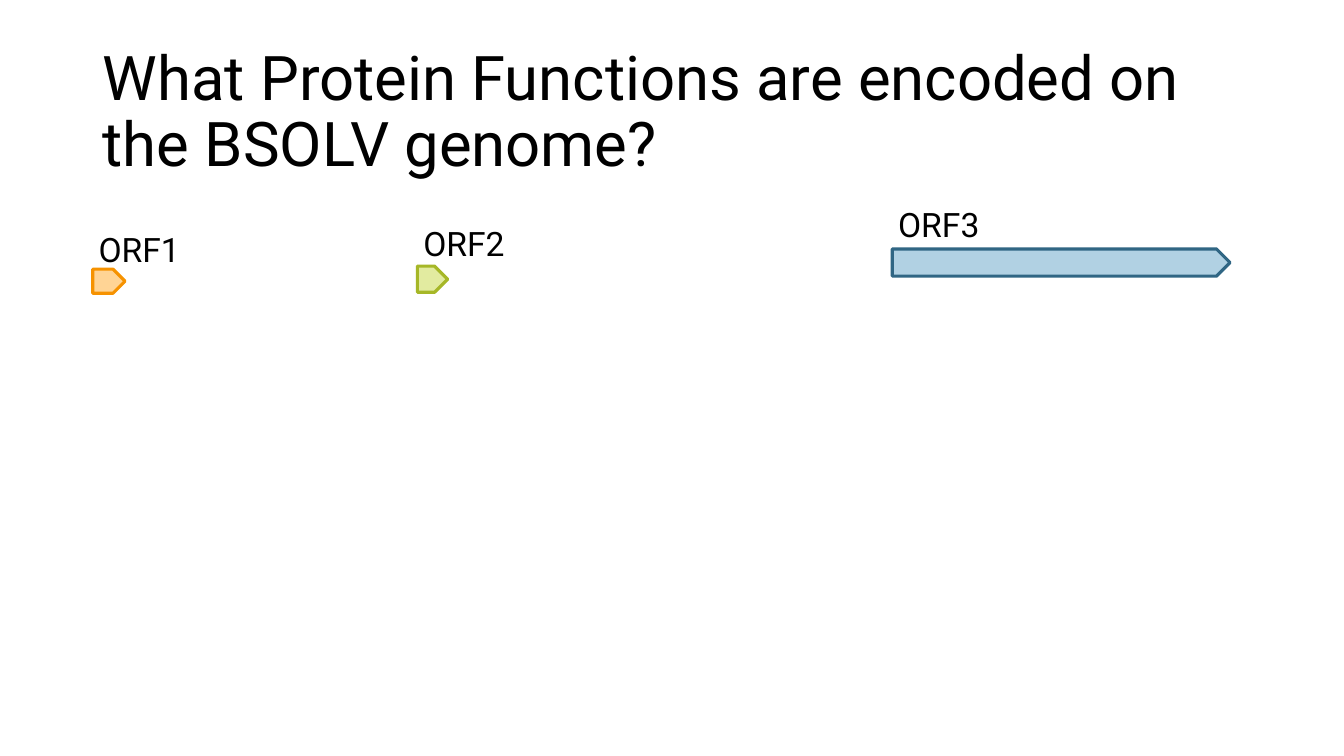
from pptx import Presentation
from pptx.dml.color import RGBColor
from pptx.enum.shapes import MSO_SHAPE
from pptx.enum.text import MSO_ANCHOR, MSO_AUTO_SIZE, PP_ALIGN
from pptx.util import Inches, Pt

BLACK = RGBColor(0x00, 0x00, 0x00)
BLUE, PALE_BLUE = RGBColor(0x30, 0x66, 0x84), RGBColor(0xB1, 0xD1, 0xE3)
GREEN, PALE_GREEN = RGBColor(0xA6, 0xB7, 0x27), RGBColor(0xE2, 0xEB, 0xA0)
ORANGE, PALE_ORANGE = RGBColor(0xF6, 0x92, 0x00), RGBColor(0xFF, 0xD4, 0x95)
FONT = "Roboto"

# name, arrow box (left, top, width, height), gap from label top to arrow, fill, outline
READING_FRAMES = [
    ("ORF3", (8.85, 2.47, 3.35, 0.27), 0.5, PALE_BLUE, BLUE),
    ("ORF2", (4.14, 2.64, 0.3, 0.26), 0.48, PALE_GREEN, GREEN),
    ("ORF1", (0.92, 2.67, 0.32, 0.24), 0.45, PALE_ORANGE, ORANGE),
]


def write_text(frame, text, size, color=BLACK, align=PP_ALIGN.LEFT,
               anchor=MSO_ANCHOR.TOP, line_spacing=None, wrap=True,
               auto_size=MSO_AUTO_SIZE.NONE):
    frame.word_wrap = wrap
    frame.auto_size = auto_size
    frame.vertical_anchor = anchor
    paragraph = frame.paragraphs[0]
    paragraph.alignment = align
    paragraph.line_spacing = line_spacing
    run = paragraph.add_run()
    run.text = text
    run.font.name = FONT
    run.font.size = Pt(size)
    run.font.color.rgb = color


def add_title(slide, left, top, width, height):
    title = slide.shapes.title
    title.left, title.top = Inches(left), Inches(top)
    title.width, title.height = Inches(width), Inches(height)
    write_text(title.text_frame,
               "What Protein Functions are encoded on the BSOLV genome?",
               44, anchor=MSO_ANCHOR.MIDDLE, line_spacing=0.9)


def add_reading_frame(slide, name, box, label_gap, fill, outline):
    """Draw a gene arrow in the box, with its name above the left end."""
    left, top, width, height = box
    arrow = slide.shapes.add_shape(
        MSO_SHAPE.PENTAGON, Inches(left), Inches(top), Inches(width), Inches(height))
    arrow.shadow.inherit = False
    arrow.fill.solid()
    arrow.fill.fore_color.rgb = fill
    arrow.line.color.rgb = outline
    arrow.line.width = Pt(2.25)

    label = slide.shapes.add_textbox(
        Inches(left - 0.04), Inches(top - label_gap), Inches(1.07), Inches(0.5))
    write_text(label.text_frame, name, 24, wrap=False,
               auto_size=MSO_AUTO_SIZE.SHAPE_TO_FIT_TEXT)


def main():
    presentation = Presentation()
    presentation.slide_width = Inches(13.33)
    presentation.slide_height = Inches(7.5)
    slide = presentation.slides.add_slide(presentation.slide_layouts[5])
    add_title(slide, 0.92, 0.4, 11.5, 1.45)
    for reading_frame in READING_FRAMES:
        add_reading_frame(slide, *reading_frame)
    presentation.save("out.pptx")


if __name__ == "__main__":
    main()
